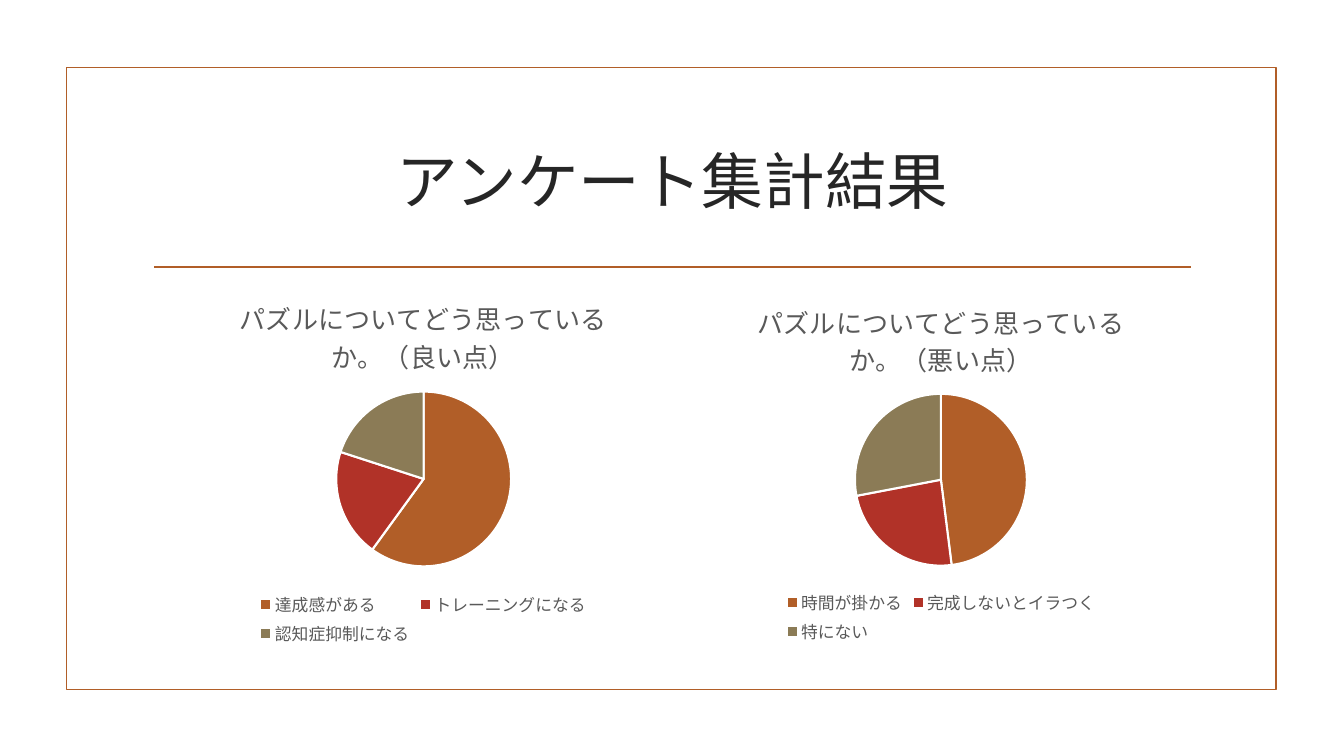
from dataclasses import dataclass

from lxml.etree import SubElement
from pptx import Presentation
from pptx.chart.data import CategoryChartData
from pptx.dml.color import RGBColor
from pptx.enum.chart import XL_CHART_TYPE, XL_LEGEND_POSITION
from pptx.enum.shapes import MSO_CONNECTOR, MSO_SHAPE
from pptx.enum.text import MSO_ANCHOR, PP_ALIGN
from pptx.oxml import parse_xml
from pptx.oxml.ns import nsdecls, qn
from pptx.util import Inches, Pt


@dataclass(frozen=True)
class Theme:
    font: str = "Times New Roman"
    accent: str = "B15E28"
    ink: str = "262626"
    muted: str = "595959"
    white: str = "FFFFFF"
    slices: tuple = ("B15E28", "B13228", "8B7B56")
    heading_size: float = 44
    chart_title_size: float = 18.6
    legend_size: float = 12
    line_width: float = 1.25
    slice_line_width: float = 1.5


THEME = Theme()
PIE_TOP = 0.305
PIE_HEIGHT = 0.47


def color(value):
    return RGBColor.from_string(value)


def style_font(font, size, value):
    font.name = THEME.font
    font.size = Pt(size)
    font.bold = False
    font.color.rgb = color(value)


def style_line(line, value, width):
    line.color.rgb = color(value)
    line.width = Pt(width)


def add_frame(page, left, top, width, height):
    frame = page.shapes.add_shape(
        MSO_SHAPE.RECTANGLE, Inches(left), Inches(top), Inches(width), Inches(height)
    )
    frame.shadow.inherit = False
    frame.fill.background()
    style_line(frame.line, THEME.accent, THEME.line_width)


def add_rule(page, left, right, top):
    rule = page.shapes.add_connector(
        MSO_CONNECTOR.STRAIGHT, Inches(left), Inches(top), Inches(right), Inches(top)
    )
    style_line(rule.line, THEME.accent, THEME.line_width)
    SubElement(rule._element.spPr, qn("a:effectLst"))


def add_heading(page, text, left, top, width, height):
    box = page.shapes.add_textbox(
        Inches(left), Inches(top), Inches(width), Inches(height)
    )
    frame = box.text_frame
    frame.word_wrap = True
    frame.vertical_anchor = MSO_ANCHOR.MIDDLE
    para = frame.paragraphs[0]
    para.text = text
    para.alignment = PP_ALIGN.CENTER
    style_font(para.font, THEME.heading_size, THEME.ink)


def place_pie(chart, width, height):
    pie_width = PIE_HEIGHT * height / width
    layout = parse_xml(
        f'<c:layout {nsdecls("c")}><c:manualLayout>'
        '<c:layoutTarget val="inner"/><c:xMode val="edge"/><c:yMode val="edge"/>'
        f'<c:x val="{(1 - pie_width) / 2:.3f}"/><c:y val="{PIE_TOP}"/>'
        f'<c:w val="{pie_width:.3f}"/><c:h val="{PIE_HEIGHT}"/>'
        "</c:manualLayout></c:layout>"
    )
    plot_area = chart._chartSpace.chart.plotArea
    for old_layout in plot_area.findall(qn("c:layout")):
        plot_area.remove(old_layout)
    plot_area.insert(0, layout)


def add_pie(page, title, answers, left, top, width, height):
    data = CategoryChartData()
    data.categories = list(answers)
    data.add_series("Series 1", list(answers.values()))
    chart = page.shapes.add_chart(
        XL_CHART_TYPE.PIE,
        Inches(left),
        Inches(top),
        Inches(width),
        Inches(height),
        data,
    ).chart
    chart.font.name = THEME.font
    chart.has_title = True
    para = chart.chart_title.text_frame.paragraphs[0]
    para.text = title
    style_font(para.font, THEME.chart_title_size, THEME.muted)
    chart.chart_title.include_in_layout = False
    chart.has_legend = True
    chart.legend.position = XL_LEGEND_POSITION.BOTTOM
    chart.legend.include_in_layout = False
    style_font(chart.legend.font, THEME.legend_size, THEME.muted)
    plot = chart.plots[0]
    plot.vary_by_categories = True
    for index, value in enumerate(THEME.slices):
        style = plot.series[0].points[index].format
        style.fill.solid()
        style.fill.fore_color.rgb = color(value)
        style_line(style.line, THEME.white, THEME.slice_line_width)
    place_pie(chart, width, height)


def main():
    deck = Presentation()
    deck.slide_width = Inches(13.33)
    deck.slide_height = Inches(7.5)
    page = deck.slides.add_slide(deck.slide_layouts[6])
    add_frame(page, 0.66, 0.67, 12, 6.17)
    add_rule(page, 1.53, 11.81, 2.65)
    add_heading(page, "アンケート集計結果", 1.42, 1.07, 10.5, 1.43)
    bad_points = {"時間が掛かる": 48, "完成しないとイラつく": 24, "特にない": 28}
    good_points = {"達成感がある": 60, "トレーニングになる": 20, "認知症抑制になる": 20}
    question = "パズルについてどう思っているか。"
    add_pie(page, question + "（悪い点）", bad_points, 6.96, 2.8, 4.75, 3.63)
    add_pie(page, question + "（良い点）", good_points, 1.61, 2.76, 5.18, 3.69)
    deck.save("out.pptx")


if __name__ == "__main__":
    main()
